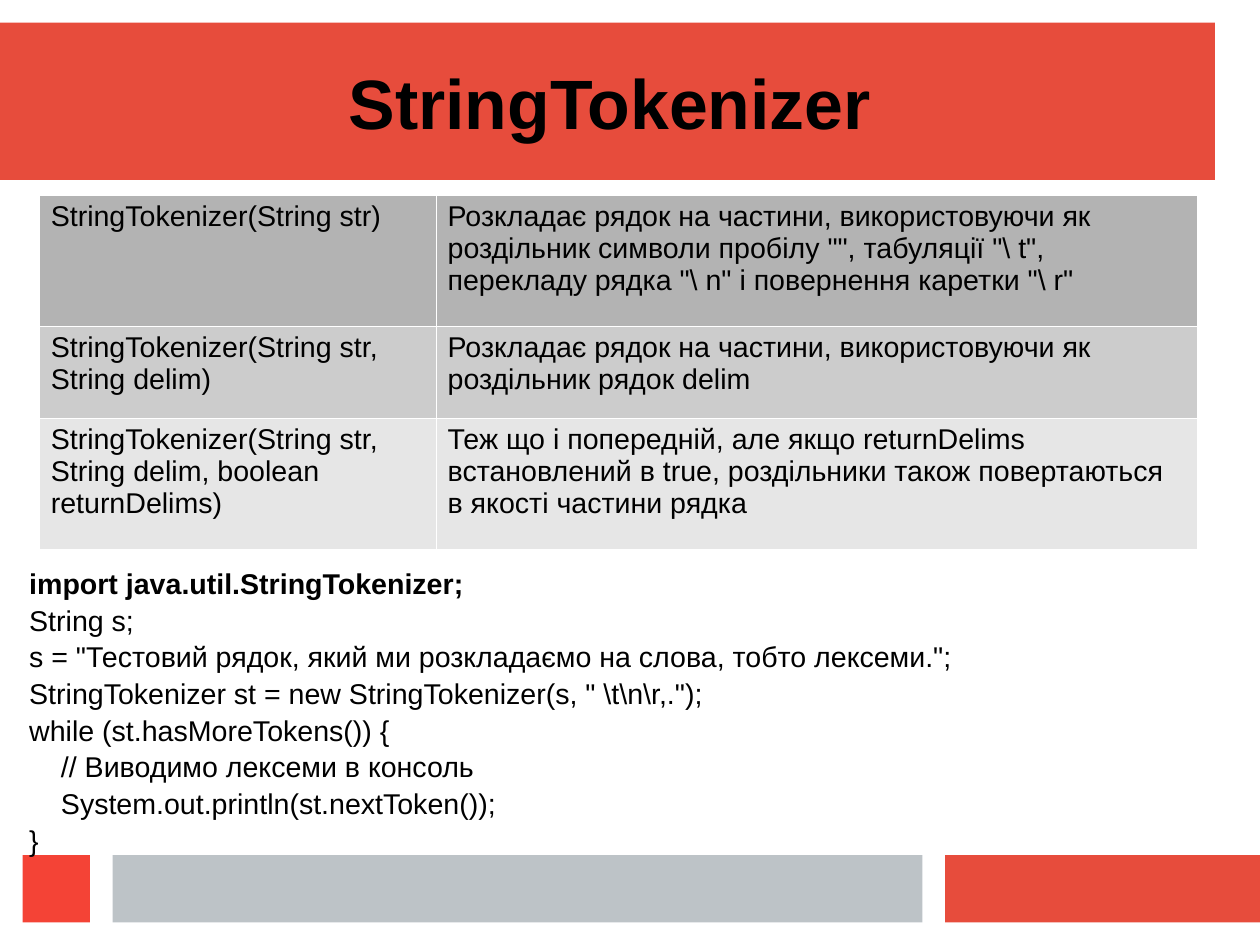
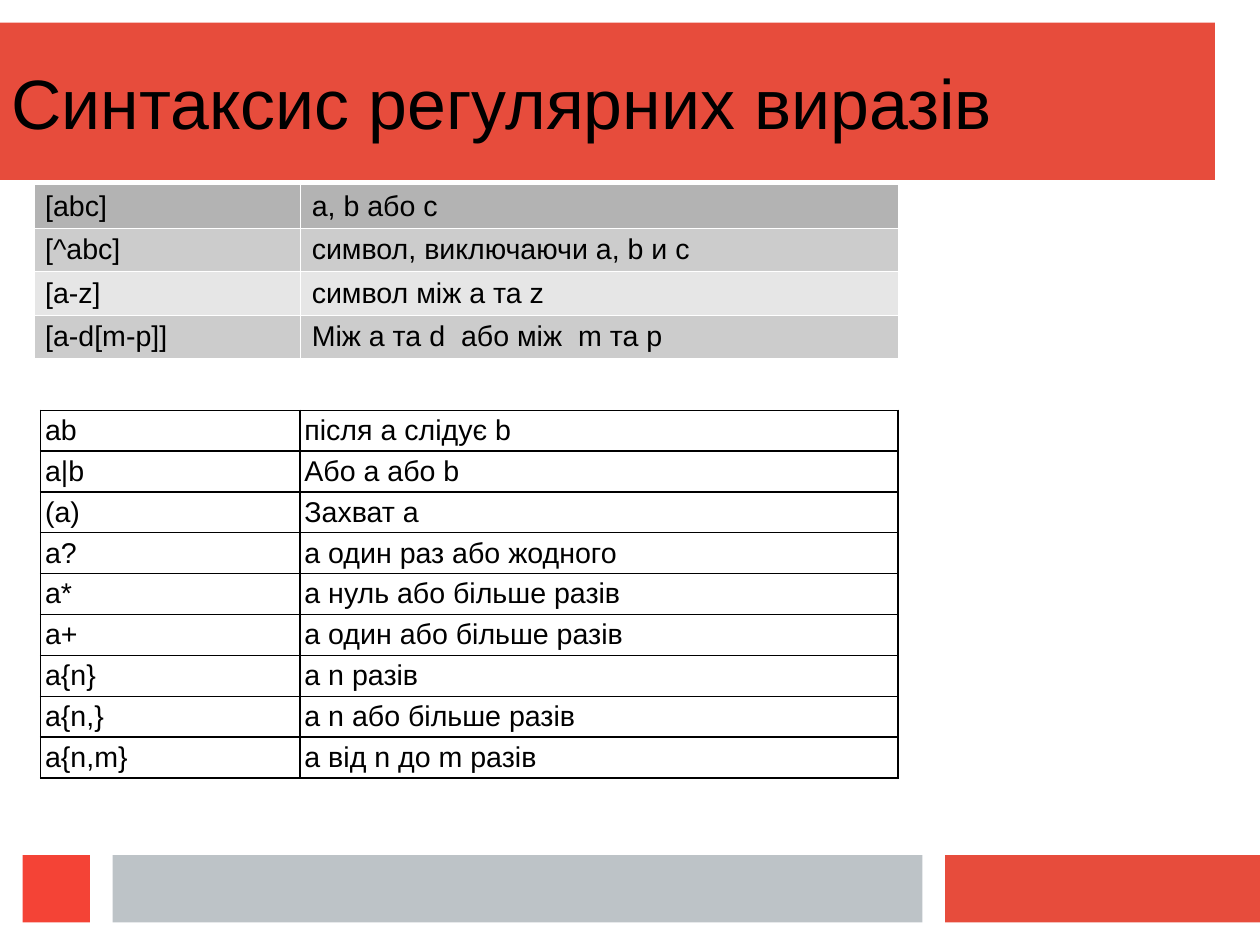
"""Builds two lecture slides on string tokenizing and regular expressions."""
import lxml.etree
import pptx
import pptx.dml.color
import pptx.enum.shapes
import pptx.enum.text
import pptx.oxml.ns
import pptx.util

Pt = pptx.util.Pt
RGBColor = pptx.dml.color.RGBColor
qn = pptx.oxml.ns.qn

BLACK = RGBColor(0x00, 0x00, 0x00)
WHITE = RGBColor(0xFF, 0xFF, 0xFF)
CORAL = RGBColor(0xE7, 0x4C, 0x3C)
RED = RGBColor(0xF4, 0x43, 0x36)
SILVER = RGBColor(0xBD, 0xC3, 0xC7)
HEADER_GREY = RGBColor(0xB3, 0xB3, 0xB3)
ODD_GREY = RGBColor(0xCC, 0xCC, 0xCC)
EVEN_GREY = RGBColor(0xE6, 0xE6, 0xE6)

BANDS = [
    (0, 14.2, 765.4, 99.2, CORAL),
    (595.3, 538.6, 198.4, 42.5, CORAL),
    (70.9, 538.6, 510.2, 42.5, SILVER),
    (14.2, 538.6, 42.5, 42.5, RED),
]

CONSTRUCTORS = [
    ("StringTokenizer(String str)",
     r'Розкладає рядок на частини, використовуючи як роздільник символи пробілу "", '
     r'табуляції "\ t", перекладу рядка "\ n" і повернення каретки "\ r"'),
    ("StringTokenizer(String str, String delim)",
     "Розкладає рядок на частини, використовуючи як роздільник рядок delim"),
    ("StringTokenizer(String str, String delim, boolean returnDelims)",
     "Теж що і попередній, але якщо returnDelims встановлений в true, "
     "роздільники також повертаються в якості частини рядка"),
]

CODE = [
    (0, "import java.util.StringTokenizer;"),
    (0, "String s;"),
    (0, 's = "Тестовий рядок, який ми розкладаємо на слова, тобто лексеми.";'),
    (0, r'StringTokenizer st = new StringTokenizer(s, " \t\n\r,.");'),
    (0, "while (st.hasMoreTokens()) {"),
    (1, "// Виводимо лексеми в консоль"),
    (1, "System.out.println(st.nextToken());"),
    (0, "}"),
]

CHARACTER_CLASSES = [
    ("[abc]", "a, b або c"),
    ("[^abc]", "символ, виключаючи a, b и c"),
    ("[a-z]", "символ між a та z"),
    ("[a-d[m-p]]", "Між a та d  або між  m та p"),
]

QUANTIFIERS = [
    ("ab", "після a слідує b"),
    ("a|b", "Або a або b"),
    ("(a)", "Захват а"),
    ("а?", "a один раз або жодного"),
    ("a*", "a нуль або більше разів"),
    ("a+", "a один або більше разів"),
    ("a{n}", "a n разів"),
    ("a{n,}", "a n або більше разів"),
    ("a{n,m}", "a від n до m разів"),
]


class Deck:
    """Holds the shared style and the current slide."""

    def __init__(self):
        self.prs = pptx.Presentation()
        self.prs.slide_width, self.prs.slide_height = Pt(793.7), Pt(595.3)
        self.layout = self.prs.slide_layouts[5]
        self.slide = None

    def add_slide(self, title, left, width, bold=False):
        first = self.slide is None
        self.slide = self.prs.slides.add_slide(self.layout)
        if first:
            self.add_bands()
        heading = self.slide.shapes.title
        heading.left, heading.top = Pt(left), Pt(33.8)
        heading.width, heading.height = Pt(width), Pt(60)
        frame = heading.text_frame
        frame.text = title
        frame.auto_size = pptx.enum.text.MSO_AUTO_SIZE.NONE
        self.set_frame(frame)
        self.style(frame.paragraphs[0], 44, bold)

    def add_bands(self):
        """Draws the bands and places them on the layout all slides share."""
        for number, (left, top, width, height, color) in enumerate(BANDS):
            band = self.slide.shapes.add_shape(
                pptx.enum.shapes.MSO_SHAPE.RECTANGLE,
                Pt(left), Pt(top), Pt(width), Pt(height))
            band.shadow.inherit = False
            band.fill.solid()
            band.fill.fore_color.rgb = color
            band.line.fill.background()
            band.element.nvSpPr.cNvPr.id = 100 + number
            self.layout.shapes.element.insert(2 + number, band.element)

    def set_frame(self, frame):
        frame.word_wrap = True
        frame.vertical_anchor = pptx.enum.text.MSO_ANCHOR.TOP
        frame.margin_left = frame.margin_right = Pt(7.2)
        frame.margin_top = frame.margin_bottom = Pt(3.6)

    def style(self, paragraph, size=18, bold=False):
        paragraph.alignment = pptx.enum.text.PP_ALIGN.LEFT
        paragraph.font.name = "Arial"
        paragraph.font.size = Pt(size)
        paragraph.font.bold = bold
        paragraph.font.color.rgb = BLACK

    def add_code(self, lines, left, top, width, height):
        frame = self.slide.shapes.add_textbox(
            Pt(left), Pt(top), Pt(width), Pt(height)).text_frame
        self.set_frame(frame)
        for index, (level, line) in enumerate(lines):
            paragraph = frame.paragraphs[0] if index == 0 else frame.add_paragraph()
            paragraph.text = line
            paragraph.line_spacing = 1.07
            self.style(paragraph, bold=index == 0)
            if level:
                paragraph._p.get_or_add_pPr().set("marL", str(Pt(20 * level)))

    def add_table(self, rows, left, top, widths, heights, margins=(7.2, 3.6),
                  border=(WHITE, 0.06), shaded=True):
        table = self.slide.shapes.add_table(
            len(rows), len(widths), Pt(left), Pt(top),
            Pt(sum(widths)), Pt(sum(heights))).table
        table.first_row = table.horz_banding = False
        for column, width in zip(table.columns, widths):
            column.width = Pt(width)
        for index, (texts, height) in enumerate(zip(rows, heights)):
            table.rows[index].height = Pt(height)
            for cell, text in zip(table.rows[index].cells, texts):
                cell.text = text
                self.style(cell.text_frame.paragraphs[0])
                cell.margin_left = cell.margin_right = Pt(margins[0])
                cell.margin_top = cell.margin_bottom = Pt(margins[1])
                self.set_borders(cell, *border)
                if shaded:
                    cell.fill.solid()
                    cell.fill.fore_color.rgb = (
                        HEADER_GREY if index == 0 else ODD_GREY if index % 2 else EVEN_GREY)
                else:
                    cell.fill.background()

    def set_borders(self, cell, color, width):
        properties = cell._tc.get_or_add_tcPr()
        for side in ("a:lnL", "a:lnR", "a:lnT", "a:lnB"):
            line = lxml.etree.SubElement(properties, qn(side), w=str(Pt(width)))
            fill = lxml.etree.SubElement(line, qn("a:solidFill"))
            lxml.etree.SubElement(fill, qn("a:srgbClr"), val=str(color))


def main():
    deck = Deck()
    deck.add_slide("StringTokenizer", 212.4, 437.8, bold=True)
    deck.add_table(CONSTRUCTORS, 24.8, 122.6, [250, 479.5], [82.8, 58, 82.8])
    deck.add_code(CODE, 11.3, 351.4, 725.8, 188.6)

    deck.add_slide("Синтаксис регулярних виразів", 0, 731.5)
    deck.add_table(QUANTIFIERS, 25.6, 258.4, [163.4, 376.6],
                   [25.7] * len(QUANTIFIERS), margins=(2.8, 2.8),
                   border=(BLACK, 1), shaded=False)
    deck.add_table(CHARACTER_CLASSES, 21.2, 116.2, [168, 376.6],
                   [27.3] * len(CHARACTER_CLASSES))
    deck.prs.save("out.pptx")


if __name__ == "__main__":
    main()
